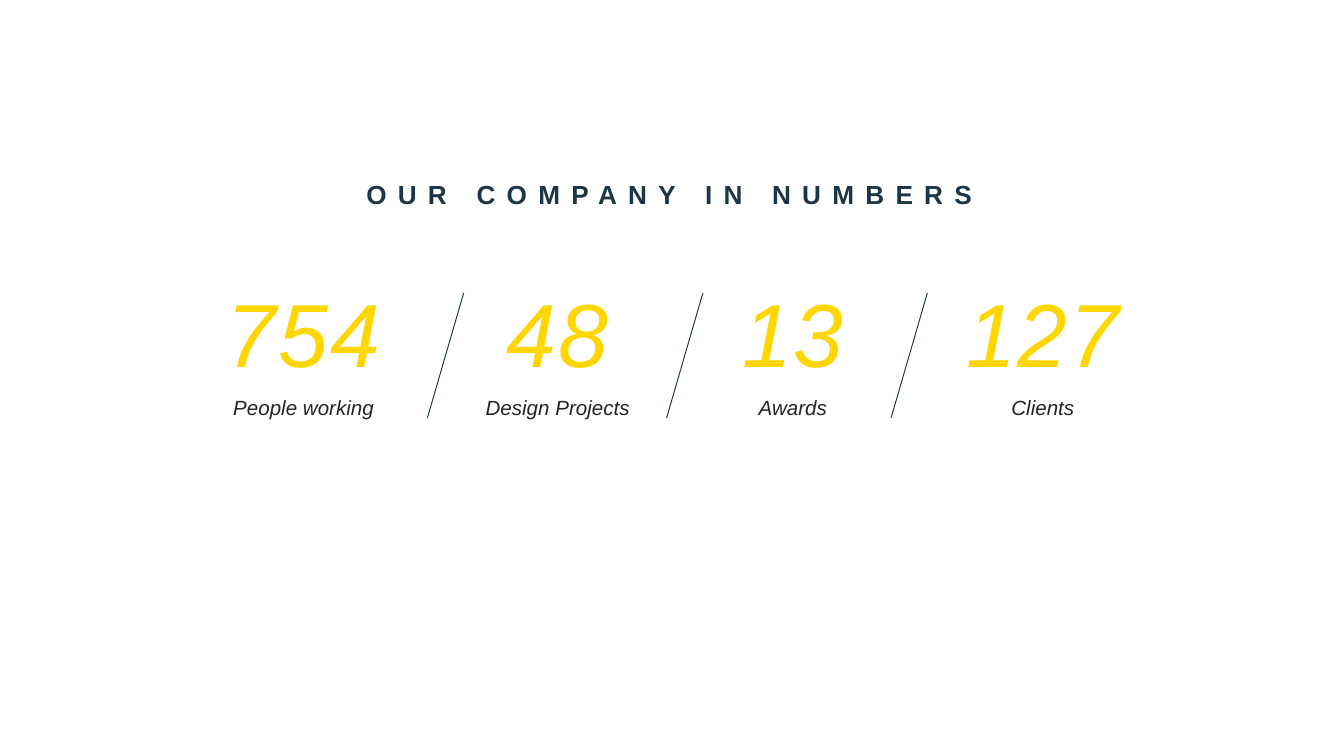
from lxml.etree import SubElement
from pptx import Presentation
from pptx.dml.color import RGBColor
from pptx.enum.shapes import MSO_CONNECTOR
from pptx.enum.text import MSO_AUTO_SIZE, PP_ALIGN
from pptx.oxml.ns import qn
from pptx.util import Inches, Pt

NAVY = RGBColor(0x1D, 0x36, 0x47)
YELLOW = RGBColor(0xFF, 0xD6, 0x00)
CHARCOAL = RGBColor(0x24, 0x24, 0x24)


class SlideBuilder:
    font_name = "Arial"

    def __init__(self, slide):
        self.slide = slide

    def text(self, wording, left, top, width, height, size, color,
             bold=False, italic=False, spacing=0, wrap=True):
        box = self.slide.shapes.add_textbox(
            Inches(left), Inches(top), Inches(width), Inches(height))
        frame = box.text_frame
        frame.word_wrap = wrap
        frame.auto_size = MSO_AUTO_SIZE.SHAPE_TO_FIT_TEXT
        paragraph = frame.paragraphs[0]
        paragraph.alignment = PP_ALIGN.CENTER
        run = paragraph.add_run()
        run.text = wording
        font = paragraph.font
        font.name = self.font_name
        font.size = Pt(size)
        font.bold = bold
        font.italic = italic
        font.color.rgb = color
        if spacing:
            run._r.get_or_add_rPr().set("spc", str(round(spacing * 100)))

    def statistic(self, left, number, label):
        width = 1.66
        self.text(number, left, 2.02, width, 0.91, 48, YELLOW,
                  italic=True, spacing=1.1)
        self.text(label, left, 2.89, width, 0.29, 11, CHARCOAL, italic=True)

    def divider(self, foot):
        slash = self.slide.shapes.add_connector(
            MSO_CONNECTOR.STRAIGHT, Inches(foot + 0.27), Inches(2.18),
            Inches(foot), Inches(3.11))
        slash.line.color.rgb = NAVY
        slash.line.width = Pt(0.5)
        SubElement(slash._element.spPr, qn("a:effectLst"))


def main():
    presentation = Presentation()
    presentation.slide_width = Inches(10)
    presentation.slide_height = Inches(10 * 9 / 16)
    builder = SlideBuilder(
        presentation.slides.add_slide(presentation.slide_layouts[6]))

    builder.text("OUR COMPANY IN NUMBERS", 2.4, 1.28, 5.16, 0.34, 14, NAVY,
                 bold=True, spacing=6, wrap=False)

    statistics = [
        (1.43, "754", "People working"),
        (3.32, "48", "Design Projects"),
        (5.07, "13", "Awards"),
        (6.93, "127", "Clients"),
    ]
    for left, number, label in statistics:
        builder.statistic(left, number, label)
    for foot in (3.18, 4.96, 6.63):
        builder.divider(foot)

    presentation.save("out.pptx")


if __name__ == "__main__":
    main()
